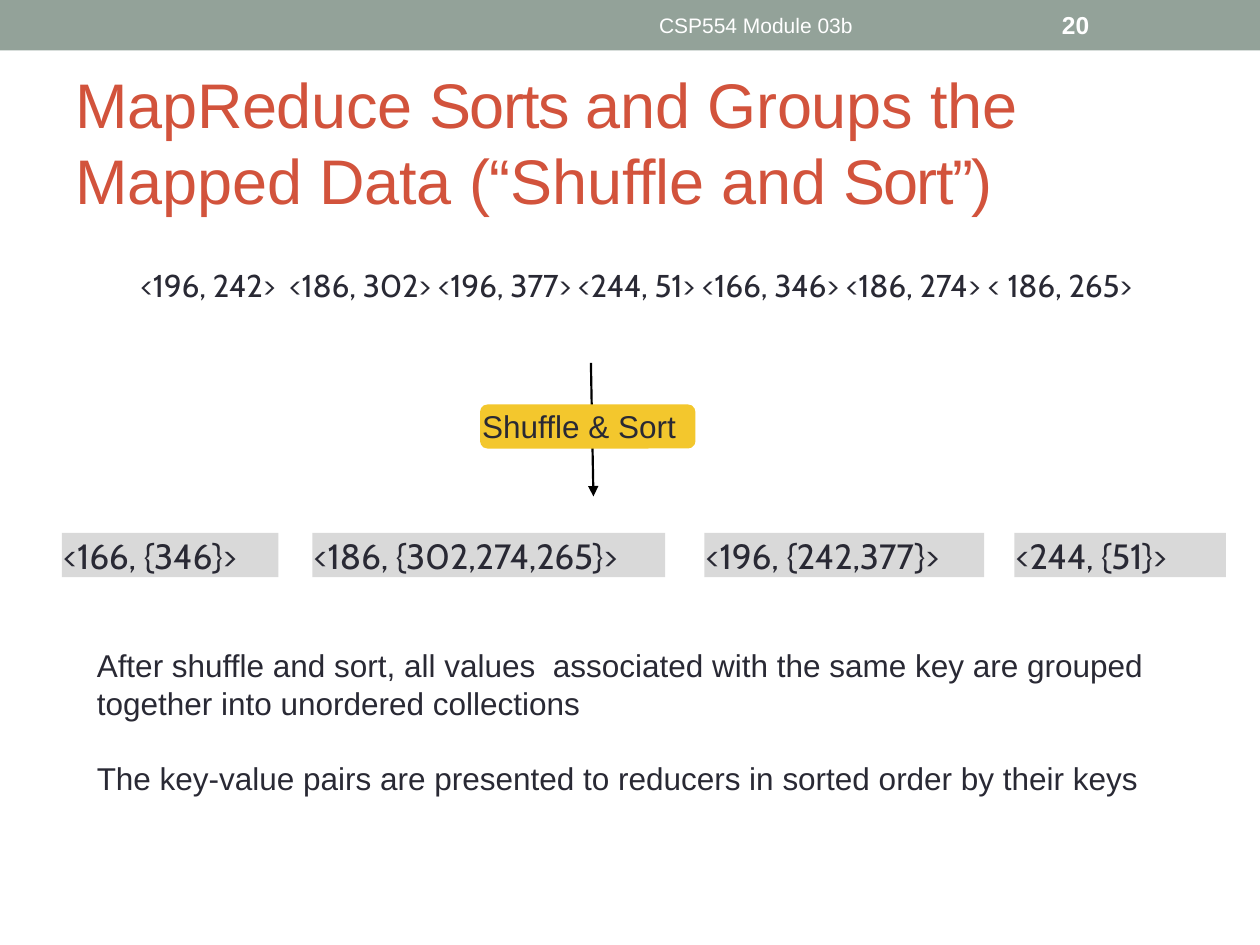
from lxml import etree
from pptx import Presentation
from pptx import util as u
from pptx.dml.color import RGBColor
from pptx.enum import shapes, text
from pptx.oxml.ns import qn

COLUMNS, ROWS = 100, 75
INK, WHITE = "292934", "FFFFFF"
LEFT, CENTER = text.PP_ALIGN.LEFT, text.PP_ALIGN.CENTER
TOP, MIDDLE = text.MSO_ANCHOR.TOP, text.MSO_ANCHOR.MIDDLE


def color(hex_value):
    return RGBColor.from_string(hex_value)


def write(frame, paragraphs, size=18, font="Arial", ink=INK, bold=False, align=LEFT,
          anchor=TOP, inset=(0.1, 0.05), gap=0, wrap=True):
    """Fill a frame; each paragraph is a list of (words, letter spacing in points)."""
    frame.word_wrap = wrap
    frame.auto_size = text.MSO_AUTO_SIZE.NONE
    frame.vertical_anchor = anchor
    frame.margin_left = frame.margin_right = u.Inches(inset[0])
    frame.margin_top = frame.margin_bottom = u.Inches(inset[1])
    for index, runs in enumerate(paragraphs):
        paragraph = frame.paragraphs[0] if index == 0 else frame.add_paragraph()
        paragraph.alignment = align
        if index:
            paragraph.space_before = u.Pt(gap)
        for words, spacing in runs:
            run = paragraph.add_run()
            run.text = words
            run.font.size, run.font.name, run.font.bold = u.Pt(size), font, bold
            run.font.color.rgb = color(ink)
            if spacing:
                run.font._element.set("spc", str(round(spacing * 100)))


class Deck:
    """Holds the grid, the presentation and its current slide."""

    def __init__(self, width, height):
        self.file = Presentation()
        self.file.slide_width, self.file.slide_height = u.Inches(width), u.Inches(height)
        self.column = self.file.slide_width / COLUMNS
        self.row = self.file.slide_height / ROWS
        self.slide = self.file.slides.add_slide(self.file.slide_layouts[5])

    def place(self, left, top, width, height):
        return (round(left * self.column), round(top * self.row),
                round(width * self.column), round(height * self.row))

    def title(self, area, runs, **style):
        title = self.slide.shapes.title
        title.left, title.top, title.width, title.height = self.place(*area)
        write(title.text_frame, [runs], **style)

    def label(self, area, paragraphs, **style):
        box = self.slide.shapes.add_textbox(*self.place(*area))
        write(box.text_frame, paragraphs, **style)

    def block(self, area, fill, runs=(), rounding=None, **style):
        kinds = shapes.MSO_SHAPE
        kind = kinds.RECTANGLE if rounding is None else kinds.ROUNDED_RECTANGLE
        block = self.slide.shapes.add_shape(kind, *self.place(*area))
        if rounding is not None:
            block.adjustments[0] = rounding
        block.shadow.inherit = False
        block.fill.solid()
        block.fill.fore_color.rgb = color(fill)
        block.line.fill.background()
        if runs:
            write(block.text_frame, [runs], **style)

    def arrow(self, start, end, ink, weight):
        ends = self.place(*start, *end)
        arrow = self.slide.shapes.add_connector(shapes.MSO_CONNECTOR.STRAIGHT, *ends)
        arrow.line.color.rgb = color(ink)
        arrow.line.width = u.Pt(weight)
        etree.SubElement(arrow.line._get_or_add_ln(), qn("a:tailEnd"), type="triangle")
        etree.SubElement(arrow._element.spPr, qn("a:effectLst"))


def main():
    deck = Deck(10, 7.5)

    deck.block((0, 0, COLUMNS, 4), "93A299")
    deck.label((37.5, 0.2, 45, 3.6), [[("CSP554 Module 03b", 0)]],
               size=12, ink=WHITE, align=CENTER, anchor=MIDDLE)
    deck.label((83.3, 0.2, 11.7, 3.6), [[("20", 0)]],
               size=14, ink=WHITE, bold=True, anchor=MIDDLE)
    deck.title((5, 5.8, 90, 10.8),
               [("MapReduce ", -0.2), ("Sorts ", -1),
                ("and Groups the Mapped Data (“Shuffle and ", -0.1), ("Sort”)", -1)],
               size=36, ink="D2533C", anchor=MIDDLE)

    mapped_pairs = [
        ("<196, 242>  <186, 302> <196, 377> <244, 51> <166, 346> <186, 274> ", -0.1),
        ("<", 4.1), ("186, 265>", -0.1)]
    deck.label((1, 21, 99, 3.2), [mapped_pairs],
               font="Cabin", align=CENTER, inset=(0, 0.01))

    deck.arrow((46.9, 28.8), (47.1, 39.4), "000000", 1.25)
    deck.block((38.1, 32.1, 17.1, 3.5), "F3C72D", [("Shuffle & Sort", 0)],
               rounding=0.17, inset=(0, 0))

    groups = [(4.9, 17.2, "<166, {346}>"), (24.8, 28, "<186, {302,274,265}>"),
              (55.9, 22.2, "<196, {242,377}>"), (80.5, 16.8, "<244, {51}>")]
    for left, width, group in groups:
        deck.block((left, 42.3, width, 3.5), "D9D9D9", [(group, -0.1)],
                   size=20, font="Cabin", inset=(0.01, 0.01))

    grouping = ("After shuffle and sort, all values  associated with the same key "
                "are grouped together into unordered collections")
    ordering = "The key-value pairs are presented to reducers in sorted order by their keys"
    deck.label((6.7, 50.8, 89.4, 16.2), [[(grouping, 0)], [(ordering, 0)]], gap=21)

    deck.file.save("out.pptx")


if __name__ == "__main__":
    main()
